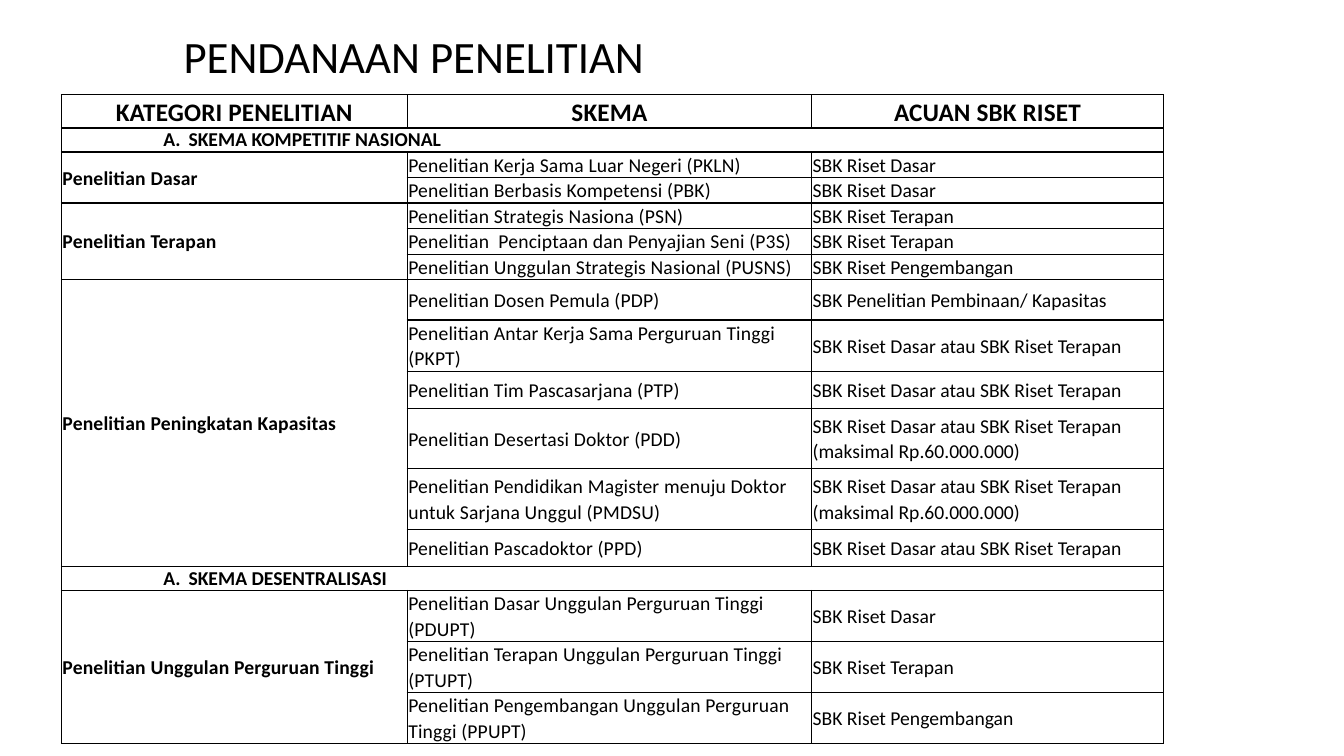
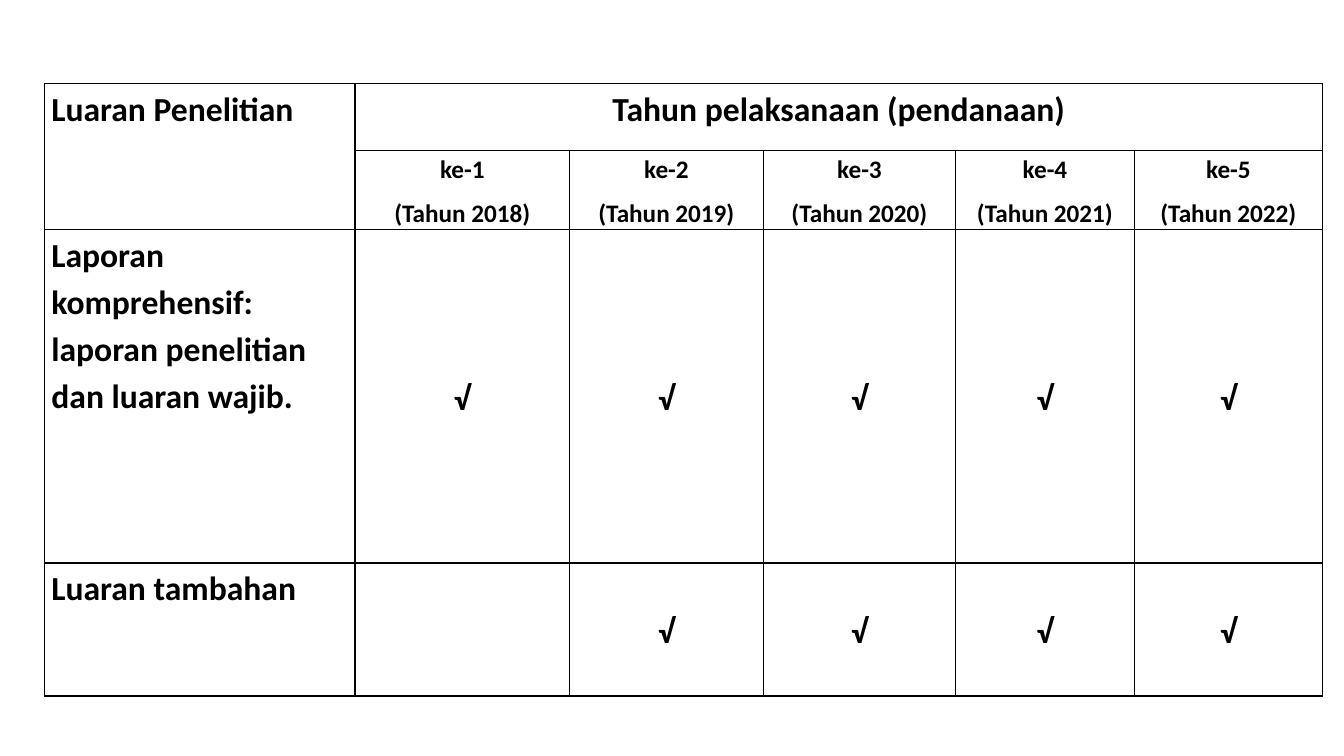
from lxml import etree
from pptx import Presentation
from pptx.dml.color import RGBColor
from pptx.enum.text import MSO_ANCHOR, MSO_AUTO_SIZE, PP_ALIGN
from pptx.oxml.ns import qn
from pptx.util import Inches, Pt

TOP, MIDDLE = MSO_ANCHOR.TOP, MSO_ANCHOR.MIDDLE
LEFT, CENTER = PP_ALIGN.LEFT, PP_ALIGN.CENTER
BLACK = RGBColor(0x00, 0x00, 0x00)
WHITE = RGBColor(0xFF, 0xFF, 0xFF)
FONT = "Calibri"
TITLE_ONLY, BLANK = 5, 6

# Funding schemes: section -> category -> (scheme, reference, row height)
LINE, SINGLE, DOUBLE, TALL = 0.25, 0.37, 0.5, 0.6
BASIC, APPLIED = "SBK Riset Dasar", "SBK Riset Terapan"
DEVELOPMENT = "SBK Riset Pengembangan"
EITHER = f"{BASIC} atau {APPLIED}"
CAPPED = f"{EITHER} (maksimal Rp.60.000.000)"
FUNDING_HEADS = ["KATEGORI PENELITIAN", "SKEMA", "ACUAN SBK RISET"]
FUNDING = {
    "SKEMA KOMPETITIF NASIONAL": {
        "Penelitian Dasar": [
            ("Penelitian Kerja Sama Luar Negeri (PKLN)", BASIC, LINE),
            ("Penelitian Berbasis Kompetensi (PBK)", BASIC, LINE),
        ],
        "Penelitian Terapan": [
            ("Penelitian Strategis Nasiona (PSN)", APPLIED, LINE),
            ("Penelitian  Penciptaan dan Penyajian Seni (P3S)", APPLIED, LINE),
            ("Penelitian Unggulan Strategis Nasional (PUSNS)", DEVELOPMENT, LINE),
        ],
        "Penelitian Peningkatan Kapasitas": [
            ("Penelitian Dosen Pemula (PDP)",
             "SBK Penelitian Pembinaan/ Kapasitas", 0.4),
            ("Penelitian Antar Kerja Sama Perguruan Tinggi (PKPT)", EITHER, DOUBLE),
            ("Penelitian Tim Pascasarjana (PTP)", EITHER, SINGLE),
            ("Penelitian Desertasi Doktor (PDD)", CAPPED, TALL),
            ("Penelitian Pendidikan Magister menuju Doktor untuk Sarjana "
             "Unggul (PMDSU)", CAPPED, TALL),
            ("Penelitian Pascadoktor (PPD)", EITHER, SINGLE),
        ],
    },
    "SKEMA DESENTRALISASI": {
        "Penelitian Unggulan Perguruan Tinggi": [
            ("Penelitian Dasar Unggulan Perguruan Tinggi (PDUPT)", BASIC, DOUBLE),
            ("Penelitian Terapan Unggulan Perguruan Tinggi (PTUPT)", APPLIED, DOUBLE),
            ("Penelitian Pengembangan Unggulan Perguruan Tinggi (PPUPT)",
             DEVELOPMENT, DOUBLE),
        ],
    },
}

# Research outputs: label and the first year in which each is due
FIRST_YEAR, YEARS = 2018, 5
OUTPUTS = [
    ("Laporan komprehensif: laporan penelitian dan luaran wajib.", 1),
    ("Luaran tambahan", 2),
]


def add_title(s, text):
    title = s.shapes.title
    title.left, title.top = Inches(1.72), Inches(0.29)
    title.width, title.height = Inches(11.25), Inches(0.49)
    tf = title.text_frame
    tf.auto_size = MSO_AUTO_SIZE.NONE
    tf.vertical_anchor = TOP
    p = tf.paragraphs[0]
    p.alignment, p.line_spacing = LEFT, 0.9
    add_run(p, text, 32)


def add_run(p, text, size, bold=False, spacing=0):
    r = p.add_run()
    r.text = text
    r.font.name, r.font.size, r.font.bold = FONT, Pt(size), bold
    r.font.color.rgb = BLACK
    if spacing:
        r._r.get_or_add_rPr().set("spc", str(spacing))


def add_borders(cell):
    tcPr = cell._tc.get_or_add_tcPr()
    for side in ("lnL", "lnR", "lnT", "lnB"):
        ln = etree.SubElement(tcPr, qn(f"a:{side}"), w=str(Pt(1)))
        fill = etree.SubElement(ln, qn("a:solidFill"))
        etree.SubElement(fill, qn("a:srgbClr"), val=str(BLACK))


def add_grid(s, left, top, widths, heights, inset):
    """Add a plain white table with black rules."""
    table = s.shapes.add_table(
        len(heights), len(widths), Inches(left), Inches(top),
        Inches(sum(widths)), Inches(sum(heights))).table
    table.first_row = table.horz_banding = False
    for column, width in zip(table.columns, widths):
        column.width = Inches(width)
    for row, height in zip(table.rows, heights):
        row.height = Inches(height)
    for cell in table.iter_cells():
        add_borders(cell)
        cell.fill.solid()
        cell.fill.fore_color.rgb = WHITE
        cell.margin_left = cell.margin_right = Inches(inset)
        cell.margin_top = cell.margin_bottom = 0
    return table


def write_cell(cell, lines, size, bold=False, align=LEFT, anchor=MIDDLE,
               leading=1.0, after=0, spacing=0):
    cell.vertical_anchor = anchor
    tf = cell.text_frame
    for i, line in enumerate(lines):
        p = tf.add_paragraph() if i else tf.paragraphs[0]
        p.alignment, p.line_spacing, p.space_after = align, leading, Pt(after)
        add_run(p, line, size, bold, spacing)


def number_paragraph(p):
    """Give the paragraph an automatic capital letter."""
    pPr = p._p.get_or_add_pPr()
    pPr.set("marL", str(Inches(1.25)))
    pPr.set("indent", str(Inches(-0.25)))
    etree.SubElement(pPr, qn("a:buAutoNum"), type="alphaUcPeriod")


def build_funding(prs):
    s = prs.slides.add_slide(prs.slide_layouts[TITLE_ONLY])
    add_title(s, "PENDANAAN PENELITIAN")
    heights = [0.33]
    for categories in FUNDING.values():
        heights.append(0.23)
        heights += [h for rows in categories.values() for _, _, h in rows]
    table = add_grid(s, 0.61, 0.94, [3.43, 4.01, 3.49], heights, 0.01)

    for col, head in enumerate(FUNDING_HEADS):
        write_cell(table.cell(0, col), [head], 18, True, CENTER,
                   leading=1.07, spacing=10)
    row = 1
    for section, categories in FUNDING.items():
        # Section band across all columns
        band = table.cell(row, 0)
        band.merge(table.cell(row, 2))
        write_cell(band, [section], 14, True)
        number_paragraph(band.text_frame.paragraphs[0])
        row += 1
        # One merged category beside its schemes
        for category, schemes in categories.items():
            label = table.cell(row, 0)
            label.merge(table.cell(row + len(schemes) - 1, 0))
            write_cell(label, [category], 14, True, leading=1.07, spacing=10)
            for scheme, reference, _ in schemes:
                write_cell(table.cell(row, 1), [scheme], 14, leading=1.07, spacing=10)
                write_cell(table.cell(row, 2), [reference], 14, leading=1.07)
                row += 1


def build_outputs(prs):
    s = prs.slides.add_slide(prs.slide_layouts[BLANK])
    table = add_grid(s, 0.44, 0.83, [3.08, 2.13, 1.92, 1.91, 1.77, 1.87],
                     [0.66, 0.66, 3.31, 1.32], 0.07)

    def write(row, col, lines, size=24, after=6, **style):
        write_cell(table.cell(row, col), lines, size, True,
                   leading=1.15, after=after, **style)

    # Two-level heading
    table.cell(0, 0).merge(table.cell(1, 0))
    table.cell(0, 1).merge(table.cell(0, YEARS))
    write(0, 0, ["Luaran Penelitian"], anchor=TOP)
    write(0, 1, ["Tahun pelaksanaan (pendanaan)"], align=CENTER, anchor=TOP)
    for year in range(1, YEARS + 1):
        write(1, year, [f"ke-{year}", f"(Tahun {FIRST_YEAR + year - 1})"],
              size=18, align=CENTER)
    # Outputs ticked from their first year on
    for row, (label, first) in enumerate(OUTPUTS, start=2):
        write(row, 0, [label], anchor=TOP)
        for year in range(first, YEARS + 1):
            write(row, year, ["√"], after=10, align=CENTER)


def main():
    prs = Presentation()
    prs.slide_width, prs.slide_height = Inches(13.33), Inches(7.5)
    build_funding(prs)
    build_outputs(prs)
    prs.save("out.pptx")


if __name__ == "__main__":
    main()
